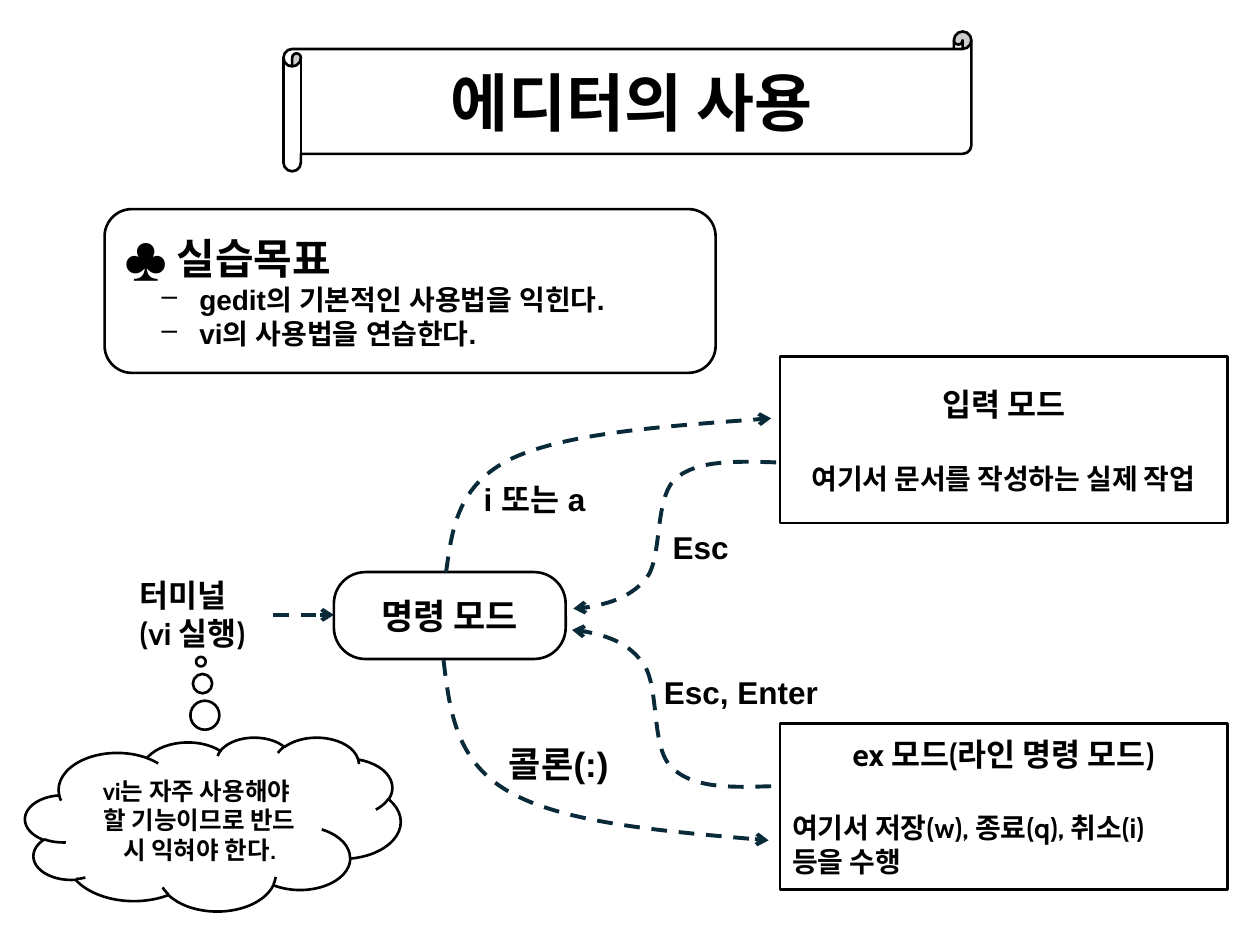
import pptx
import pptx.util
import pptx.dml.color
import pptx.enum.dml
import pptx.enum.shapes
import pptx.enum.text
import pptx.oxml.ns
from lxml import etree
from dataclasses import dataclass

SHAPE = pptx.enum.shapes.MSO_SHAPE
ALIGN = pptx.enum.text.PP_ALIGN
ANCHOR = pptx.enum.text.MSO_ANCHOR
qn = pptx.oxml.ns.qn


@dataclass(frozen=True)
class Theme:
    ink: str = "000000"
    paper: str = "FFFFFF"
    arrow: str = "092A39"
    title_font: str = "Noto Sans CJK KR"
    body_font: str = "Cabin"
    label_font: str = "Arial"
    title: int = 36
    heading: int = 24
    mode: int = 20
    label: int = 18
    body: int = 16
    note: int = 14
    outline: float = 1.5
    arrow_width: float = 2.25


THEME = Theme()
PX_PER_INCH = 100


def px(value):
    return pptx.util.Emu(value * 914400 // PX_PER_INCH)


def rgb(color):
    return pptx.dml.color.RGBColor.from_string(color)


def style(paragraph, size, face, bold=True, align=ALIGN.LEFT):
    paragraph.alignment = align
    font = paragraph.font
    font.size, font.bold, font.name = pptx.util.Pt(size), bold, face
    font.color.rgb = rgb(THEME.ink)
    # Hangul takes the same face as Latin text
    properties = paragraph._p.pPr.find(qn("a:defRPr"))
    etree.SubElement(properties, qn("a:ea")).set("typeface", face)


def panel(slide, kind, box, adjustments=()):
    """Outlined white shape with vertically centred text."""
    shape = slide.shapes.add_shape(kind, *map(px, box))
    for index, value in enumerate(adjustments):
        shape.adjustments[index] = value
    shape.shadow.inherit = False
    shape.fill.solid()
    shape.fill.fore_color.rgb = rgb(THEME.paper)
    shape.line.color.rgb = rgb(THEME.ink)
    shape.line.width = pptx.util.Pt(THEME.outline)
    shape.text_frame.word_wrap = True
    shape.text_frame.vertical_anchor = ANCHOR.MIDDLE
    return shape.text_frame


def label(slide, box, text, size, face):
    frame = slide.shapes.add_textbox(*map(px, box)).text_frame
    frame.word_wrap = True
    frame.margin_right = 0
    frame.paragraphs[0].text = text
    style(frame.paragraphs[0], size, face)


def dashed_arrow(line):
    line.color.rgb = rgb(THEME.arrow)
    line.width = pptx.util.Pt(THEME.arrow_width)
    line.dash_style = pptx.enum.dml.MSO_LINE.DASH
    etree.SubElement(line._get_or_add_ln(), qn("a:tailEnd")).set("type", "arrow")


def curved_arrow(slide, points):
    """Arrow along cubic curves: a start, then three points per curve."""
    start, *rest = [(px(x), px(y)) for x, y in points]
    builder = slide.shapes.build_freeform(*start)
    builder.add_line_segments(rest, close=False)
    curve = builder.convert_to_shape()
    outline = curve._element.find(".//" + qn("a:path"))
    segments = outline.findall(qn("a:lnTo"))
    for first in range(0, len(segments), 3):
        bezier = etree.SubElement(outline, qn("a:cubicBezTo"))
        for segment in segments[first:first + 3]:
            bezier.append(segment[0])
            outline.remove(segment)
    curve.shadow.inherit = False
    curve.fill.background()
    dashed_arrow(curve.line)


def title_banner(slide, box):
    title = panel(slide, SHAPE.HORIZONTAL_SCROLL, box).paragraphs[0]
    title.text = "에디터의 사용"
    style(title, THEME.title, THEME.title_font, align=ALIGN.CENTER)


def goal_panel(slide, box):
    frame = panel(slide, SHAPE.ROUNDED_RECTANGLE, box)
    heading = frame.paragraphs[0]
    club, name = heading.add_run(), heading.add_run()
    club.text, name.text = "♣ ", "실습목표"
    style(heading, THEME.heading, THEME.body_font, bold=False)
    name.font.bold = True
    for text in ("gedit의 기본적인 사용법을 익힌다.", "vi의 사용법을 연습한다."):
        goal = frame.add_paragraph()
        goal.text = text
        properties = goal._p.get_or_add_pPr()
        properties.set("marL", str(px(59)))
        properties.set("indent", str(-px(30)))
        etree.SubElement(properties, qn("a:buChar")).set("char", "–")
        style(goal, THEME.body, THEME.label_font)


def mode_box(slide, box, name, detail, detail_align):
    frame = panel(slide, SHAPE.RECTANGLE, box)
    heading, body = frame.paragraphs[0], frame.add_paragraph()
    heading.text, body.text = name, detail
    body.space_before = pptx.util.Pt(22)
    style(heading, THEME.label, THEME.body_font, align=ALIGN.CENTER)
    style(body, THEME.body, THEME.body_font, align=detail_align)


def mode_diagram(slide, box):
    left, top, width, height = box

    def at(x, y, *size):
        return (left + x, top + y, *size)

    # Modes: the two right-hand boxes sit at the top and bottom of the region
    command = panel(slide, SHAPE.ROUNDED_RECTANGLE, at(165, 171, 184, 69), [0.364])
    command.paragraphs[0].text = "명령 모드"
    style(command.paragraphs[0], THEME.mode, THEME.body_font, align=ALIGN.CENTER)
    mode_w, mode_h = 355, 132
    mode_box(slide, at(width - mode_w, 0, mode_w, mode_h), "입력 모드",
             "여기서 문서를 작성하는 실제 작업", ALIGN.CENTER)
    mode_box(slide, at(width - mode_w, height - mode_h, mode_w, mode_h),
             "ex 모드(라인 명령 모드)",
             "여기서 저장(w), 종료(q), 취소(i)\n등을 수행", ALIGN.LEFT)

    # Transitions between modes
    for points in (
        [(254, 171), (259, 136), (263, 102), (306, 81),
         (349, 61), (430, 55), (512, 49)],
        [(252, 241), (257, 282), (262, 322), (305, 346),
         (348, 370), (429, 377), (510, 384)],
        [(516, 84), (484, 83), (453, 82), (436, 97), (419, 113),
         (426, 159), (413, 176), (399, 193), (363, 201), (355, 200)],
        [(512, 341), (481, 342), (450, 343), (433, 326), (416, 310),
         (424, 261), (410, 243), (397, 225), (361, 216), (354, 217)],
    ):
        curved_arrow(slide, [at(*point) for point in points])

    # Entry from the terminal
    entry = slide.shapes.add_connector(
        pptx.enum.shapes.MSO_CONNECTOR.STRAIGHT,
        *map(px, at(117, 205) + at(165, 205)))
    dashed_arrow(entry.line)
    etree.SubElement(entry._element.spPr, qn("a:effectLst"))

    # Keys and terminal caption
    label(slide, at(1, 169, 116, 71), "터미널\n(vi 실행)", THEME.label, THEME.body_font)
    for spot, text, size in (
        ((274, 93, 116, 40), "i 또는 a", THEME.label),
        ((424, 131, 116, 40), "Esc", THEME.label),
        ((417, 246, 151, 40), "Esc, Enter", THEME.label),
        ((294, 301, 151, 44), "콜론(:)", THEME.mode),
    ):
        label(slide, at(*spot), text, size, THEME.label_font)


def cloud_note(slide, box):
    note = panel(slide, SHAPE.CLOUD_CALLOUT, box, [-0.032, -0.934]).paragraphs[0]
    note.text = "vi는 자주 사용해야 \n할 기능이므로 반드\n시 익혀야 한다."
    style(note, THEME.note, THEME.body_font, align=ALIGN.CENTER)


def main():
    deck = pptx.Presentation()
    deck.slide_width, deck.slide_height = px(1000), px(750)
    slide = deck.slides.add_slide(deck.slide_layouts[6])
    title_banner(slide, (225, 25, 546, 111))
    goal_panel(slide, (83, 166, 485, 130))
    mode_diagram(slide, (100, 283, 874, 423))
    cloud_note(slide, (20, 585, 298, 138))
    deck.save("out.pptx")


if __name__ == "__main__":
    main()
